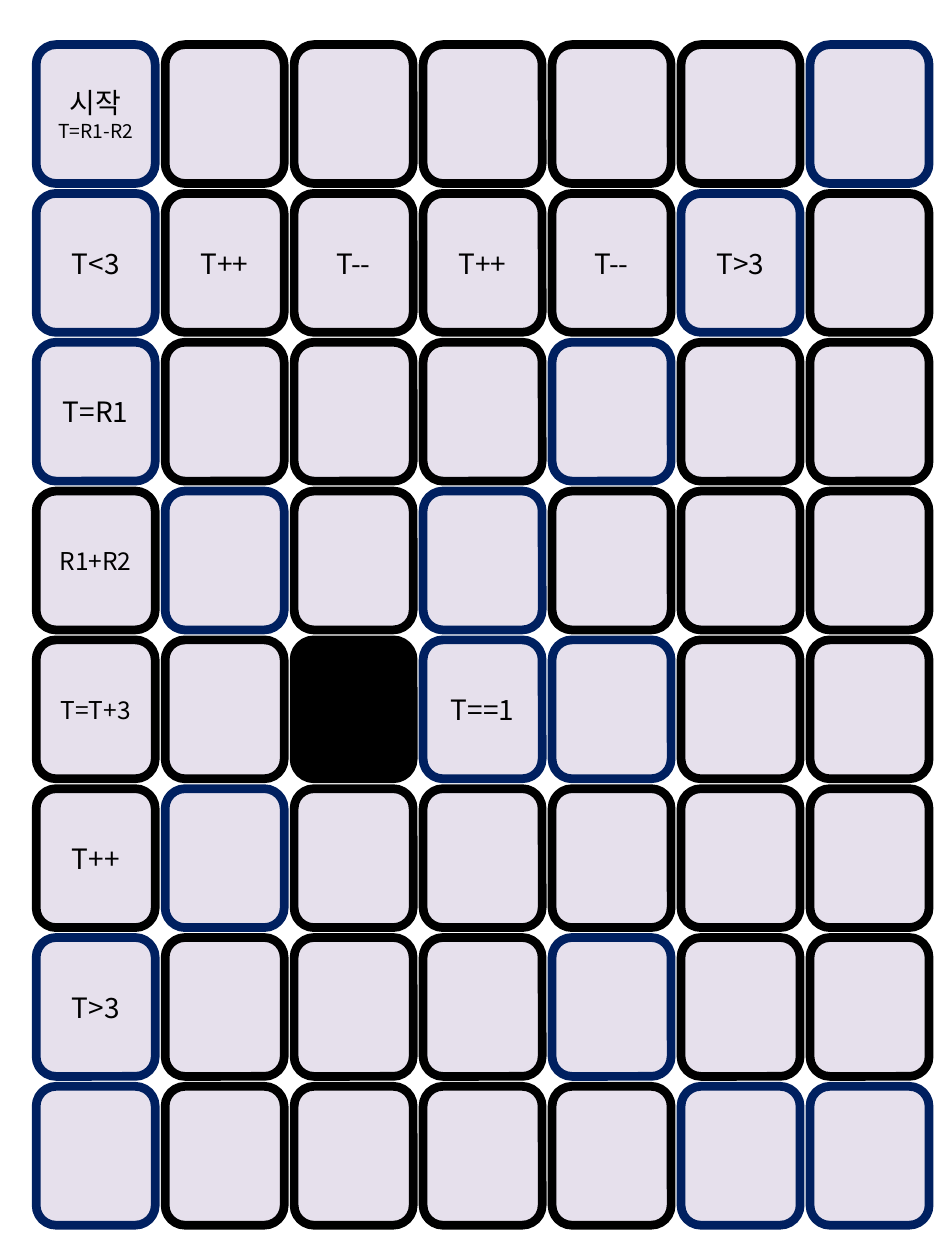
import pptx
import pptx.dml.color
import pptx.enum.shapes
import pptx.enum.text
import pptx.oxml.ns
import pptx.util
from lxml import etree

Cm = pptx.util.Cm
FONT = "Noto Sans CJK KR"
LILAC, NAVY, BLACK = "E6E0EC", "002060", "000000"
GAP = 0.2
STYLES = {".": (LILAC, BLACK), "N": (LILAC, NAVY), "#": (BLACK, BLACK)}
BOARD = [
    "N.....N",
    "N....N.",
    "N...N..",
    ".N.N...",
    "..#NN..",
    ".N.....",
    "N...N..",
    "N....NN",
]
COMMANDS = {
    (0, 0): [("시작", 16), ("T=R1-R2", 11)],
    (1, 0): [("T<3", 16)],
    (1, 1): [("T++", 16)],
    (1, 2): [("T--", 16)],
    (1, 3): [("T++", 16)],
    (1, 4): [("T--", 16)],
    (1, 5): [("T>3", 16)],
    (2, 0): [("T=R1", 16)],
    (3, 0): [("R1+R2", 14)],
    (4, 0): [("T=T+3", 14)],
    (4, 3): [("T==1", 16)],
    (5, 0): [("T++", 16)],
    (6, 0): [("T>3", 16)],
}


def color(value):
    """Turn a hex string into a colour."""
    return pptx.dml.color.RGBColor.from_string(value)


def write_command(square, lines):
    """Write centred lines of (text, size) in a square."""
    frame = square.text_frame
    frame.word_wrap = True
    frame.vertical_anchor = pptx.enum.text.MSO_ANCHOR.MIDDLE
    for index, (text, size) in enumerate(lines):
        line = frame.add_paragraph() if index else frame.paragraphs[0]
        line.alignment = pptx.enum.text.PP_ALIGN.CENTER
        run = line.add_run()
        run.text = text
        run.font.size = pptx.util.Pt(size)
        run.font.name = FONT
        run.font.color.rgb = color(BLACK)
        east_asian = etree.SubElement(run.font._element, pptx.oxml.ns.qn("a:ea"))
        east_asian.set("typeface", FONT)


def add_square(slide, left, top, width, height, style, lines):
    """Draw one square of the board with its command."""
    square = slide.shapes.add_shape(
        pptx.enum.shapes.MSO_SHAPE.ROUNDED_RECTANGLE,
        Cm(left), Cm(top), Cm(width), Cm(height),
    )
    fill, border = STYLES[style]
    square.shadow.inherit = False
    square.fill.solid()
    square.fill.fore_color.rgb = color(fill)
    square.line.color.rgb = color(border)
    square.line.width = pptx.util.Pt(5)
    write_command(square, lines)


def add_board(slide, left, top, width, height):
    """Fill the given box with the squares, column by column."""
    column_step = (width + GAP) / len(BOARD[0])
    row_step = (height + GAP) / len(BOARD)
    for column, styles in enumerate(zip(*BOARD)):
        for row, style in enumerate(styles):
            add_square(
                slide, left + column * column_step, top + row * row_step,
                column_step - GAP, row_step - GAP,
                style, COMMANDS.get((row, column), []),
            )


def main():
    """Build and save the board slide."""
    deck = pptx.Presentation()
    deck.slide_width, deck.slide_height = Cm(19.05), Cm(25.4)
    slide = deck.slides.add_slide(deck.slide_layouts[6])
    add_board(slide, 0.73, 0.9, 18, 23.8)
    deck.save("out.pptx")


if __name__ == "__main__":
    main()
